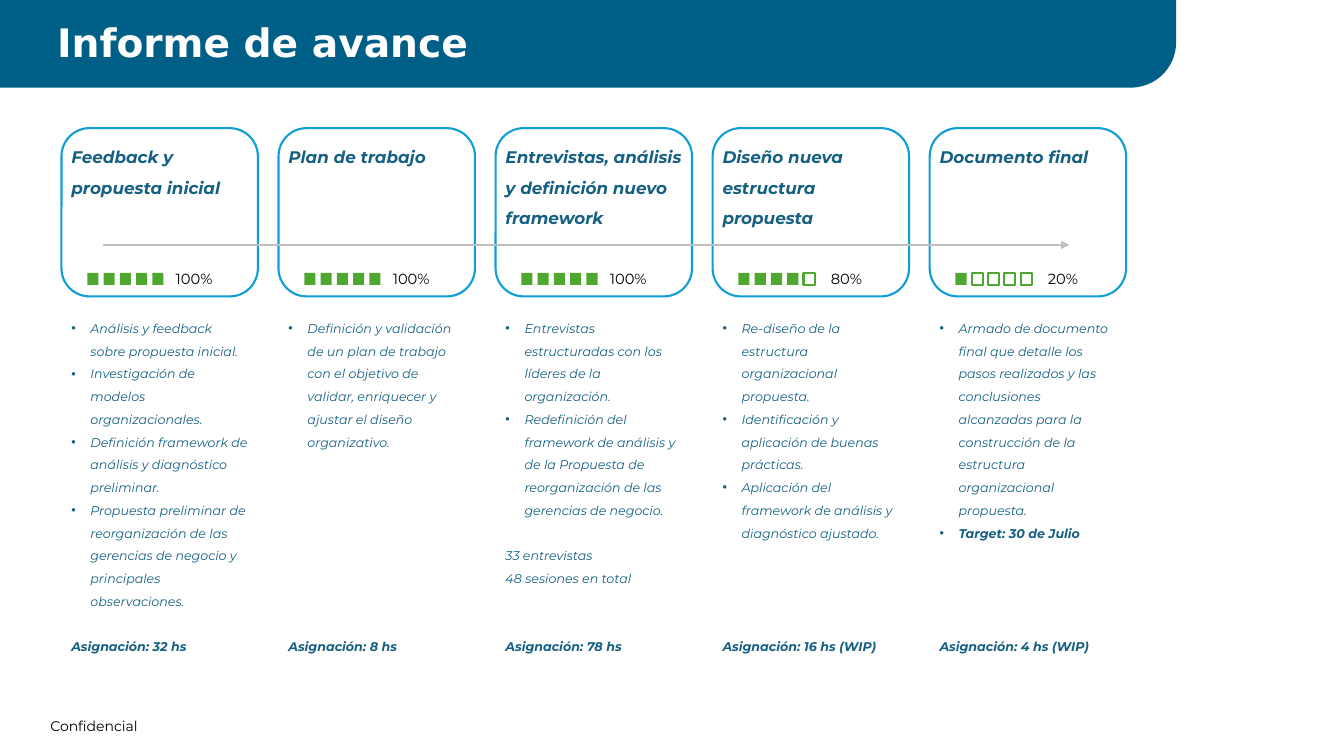
from dataclasses import dataclass

from lxml import etree
from pptx import Presentation
from pptx.dml.color import RGBColor
from pptx.enum.shapes import MSO_CONNECTOR, MSO_SHAPE
from pptx.enum.text import MSO_AUTO_SIZE
from pptx.oxml.ns import qn
from pptx.shapes.autoshape import Shape
from pptx.shapes.shapetree import GroupShapes, SlideShapes
from pptx.slide import Slide
from pptx.text.text import _Paragraph
from pptx.util import Cm, Pt

CARD = MSO_SHAPE.ROUNDED_RECTANGLE
BANNER = MSO_SHAPE.ROUND_1_RECTANGLE
SQUARE = MSO_SHAPE.RECTANGLE
STRAIGHT = MSO_CONNECTOR.STRAIGHT
GROW = MSO_AUTO_SIZE.SHAPE_TO_FIT_TEXT


@dataclass(frozen=True)
class Theme:
    body_font: str = "Montserrat"
    title_font: str = "DejaVu Sans"
    white: str = "FFFFFF"
    black: str = "000000"
    banner: str = "005F86"
    border: str = "0F9ED5"
    text: str = "156082"
    progress: str = "4EA72E"
    arrow: str = "BFBFBF"
    title_size: float = 28
    heading_size: float = 12
    body_size: float = 9
    percent_size: float = 10.5
    footer_size: float = 10
    line_width: float = 1.5
    line_spacing: float = 1.5
    body_line: float = 16.25  # height in points of one line of body text


@dataclass(frozen=True)
class Style:
    size: float
    color: str
    font: str = "Montserrat"
    bold: bool = False
    italic: bool = False


@dataclass(frozen=True)
class Box:
    """Place and size in centimetres."""
    left: float
    top: float
    width: float
    height: float


@dataclass(frozen=True)
class Item:
    text: str
    bullet: bool = True
    bold: bool = False
    lines_before: int = 0


@dataclass(frozen=True)
class Stage:
    heading: str
    squares_done: int
    items: tuple[Item, ...]
    allocation: str
    lines_before_allocation: int


THEME = Theme()
HEADING = Style(THEME.heading_size, THEME.text, bold=True, italic=True)
SQUARE_COUNT = 5
STAGE_LEFT, STAGE_PITCH, STAGE_WIDTH = 1.55, 5.47, 4.95
METER_OFFSET, METER_TOP, SQUARE_PITCH = 0.65, 6.88, 0.41

STAGES = (
    Stage("Feedback y propuesta inicial", 5, (
        Item("Análisis y feedback sobre propuesta inicial."),
        Item("Investigación de modelos organizacionales."),
        Item("Definición framework de análisis y diagnóstico preliminar."),
        Item("Propuesta preliminar de reorganización de las gerencias de "
             "negocio y principales observaciones."),
    ), "Asignación: 32 hs", 1),
    Stage("Plan de trabajo", 5, (
        Item("Definición y validación de un plan de trabajo con el objetivo "
             "de validar, enriquecer y ajustar el diseño organizativo."),
    ), "Asignación: 8 hs", 8),
    Stage("Entrevistas, análisis y definición nuevo framework", 5, (
        Item("Entrevistas estructuradas con los líderes de la organización."),
        Item("Redefinición del framework de análisis y de la Propuesta de "
             "reorganización de las gerencias de negocio."),
        Item("33 entrevistas", bullet=False, lines_before=1),
        Item("48 sesiones en total", bullet=False),
    ), "Asignación: 78 hs", 2),
    Stage("Diseño nueva estructura propuesta", 4, (
        Item("Re-diseño de la estructura organizacional propuesta."),
        Item("Identificación y aplicación de buenas prácticas."),
        Item("Aplicación del framework de análisis y diagnóstico ajustado."),
    ), "Asignación: 16 hs (WIP)", 4),
    Stage("Documento final", 1, (
        Item("Armado de documento final que detalle los pasos realizados y "
             "las conclusiones alcanzadas para la construcción de la "
             "estructura organizacional propuesta."),
        Item("Target: 30 de Julio", bold=True),
    ), "Asignación: 4 hs (WIP)", 4),
)


def rgb(color: str) -> RGBColor:
    return RGBColor.from_string(color)


def write(paragraph: _Paragraph, text: str, style: Style) -> None:
    paragraph.text = text
    font = paragraph.runs[0].font
    font.name, font.size = style.font, Pt(style.size)
    font.bold, font.italic = style.bold, style.italic
    font.color.rgb = rgb(style.color)


def add_text(shapes: SlideShapes | GroupShapes, box: Box, text: str,
             style: Style, wrap: bool = True) -> Shape:
    label = shapes.add_textbox(Cm(box.left), Cm(box.top), Cm(box.width), Cm(box.height))
    label.text_frame.word_wrap = wrap
    label.text_frame.auto_size = GROW
    write(label.text_frame.paragraphs[0], text, style)
    return label


def add_block(shapes: SlideShapes | GroupShapes, kind: MSO_SHAPE, box: Box,
              fill: str | None, line: str | None) -> Shape:
    block = shapes.add_shape(kind, Cm(box.left), Cm(box.top), Cm(box.width), Cm(box.height))
    block.shadow.inherit = False
    for part, color in ((block.fill, fill), (block.line.fill, line)):
        if color:
            part.solid()
            part.fore_color.rgb = rgb(color)
        else:
            part.background()
    if line:
        block.line.width = Pt(THEME.line_width)
    return block


def add_banner(slide: Slide) -> None:
    banner = add_block(slide.shapes, BANNER, Box(0, -0.08, 29.64, 2.29), THEME.banner, None)
    banner.adjustments[0] = 0.5
    banner.element.spPr.find(qn("a:xfrm")).set("flipV", "1")
    add_text(slide.shapes, Box(1.19, 0.33, 28.45, 1.45), "Informe de avance",
             Style(THEME.title_size, THEME.white, THEME.title_font, bold=True))


def add_meter(slide: Slide, left: float, done: int) -> None:
    """Draw the row of progress squares with its percentage."""
    meter = slide.shapes.add_group_shape().shapes
    for index in range(SQUARE_COUNT):
        box = Box(left + index * SQUARE_PITCH, METER_TOP, 0.28, 0.3)
        full = index < done
        add_block(meter, SQUARE, box, THEME.progress if full else None,
                  None if full else THEME.progress)
    indent = 0 if done == SQUARE_COUNT else 0.1
    add_text(meter, Box(left + 1.98 + indent, METER_TOP - 0.2, 1.5 - 2 * indent, 0.74),
             f"{done * 100 // SQUARE_COUNT}%",
             Style(THEME.percent_size, THEME.black), wrap=False)


def add_arrow(slide: Slide) -> None:
    arrow = slide.shapes.add_connector(STRAIGHT, Cm(2.59), Cm(6.17), Cm(26.95), Cm(6.17))
    arrow.line.color.rgb = rgb(THEME.arrow)
    arrow.line.width = Pt(THEME.line_width)
    etree.SubElement(arrow.line._get_or_add_ln(), qn("a:tailEnd"), type="triangle")
    etree.SubElement(arrow.element.spPr, qn("a:effectLst"))


def add_details(slide: Slide, left: float, stage: Stage) -> None:
    """Write the bulleted work of a stage and, below it, its hours."""
    allocation = Item(stage.allocation, False, True, stage.lines_before_allocation)
    plain = Style(THEME.body_size, THEME.text, italic=True)
    frame = add_text(slide.shapes, Box(left, 7.77, STAGE_WIDTH, 8.84),
                     stage.items[0].text, plain).text_frame
    for index, item in enumerate((*stage.items, allocation)):
        paragraph = frame.add_paragraph() if index else frame.paragraphs[0]
        write(paragraph, item.text,
              Style(THEME.body_size, THEME.text, bold=item.bold, italic=True))
        paragraph.line_spacing = THEME.line_spacing
        paragraph.space_before = Pt(item.lines_before * THEME.body_line)
        if item.bullet:
            properties = paragraph._p.get_or_add_pPr()
            properties.set("marL", str(Cm(0.48)))
            properties.set("indent", str(-Cm(0.48)))
            etree.SubElement(properties, qn("a:buFont"), typeface="Arial")
            etree.SubElement(properties, qn("a:buChar"), char="•")


def main() -> None:
    deck = Presentation()
    deck.slide_width, deck.slide_height = Cm(33.87), Cm(19.05)
    slide = deck.slides.add_slide(deck.slide_layouts[6])
    add_text(slide.shapes, Box(1.02, 17.96, 2.74, 0.69), "Confidencial",
             Style(THEME.footer_size, THEME.black), wrap=False)
    add_banner(slide)
    for index, stage in enumerate(STAGES):
        left = STAGE_LEFT + index * STAGE_PITCH
        add_block(slide.shapes, CARD, Box(left, 3.23, STAGE_WIDTH, 4.24),
                  THEME.white, THEME.border)
        heading = add_text(slide.shapes, Box(left, 3.33, STAGE_WIDTH, 0.94),
                           stage.heading, HEADING)
        heading.text_frame.paragraphs[0].line_spacing = THEME.line_spacing
        add_meter(slide, left + METER_OFFSET, stage.squares_done)
        add_details(slide, left, stage)
    add_arrow(slide)
    deck.save("out.pptx")


if __name__ == "__main__":
    main()
